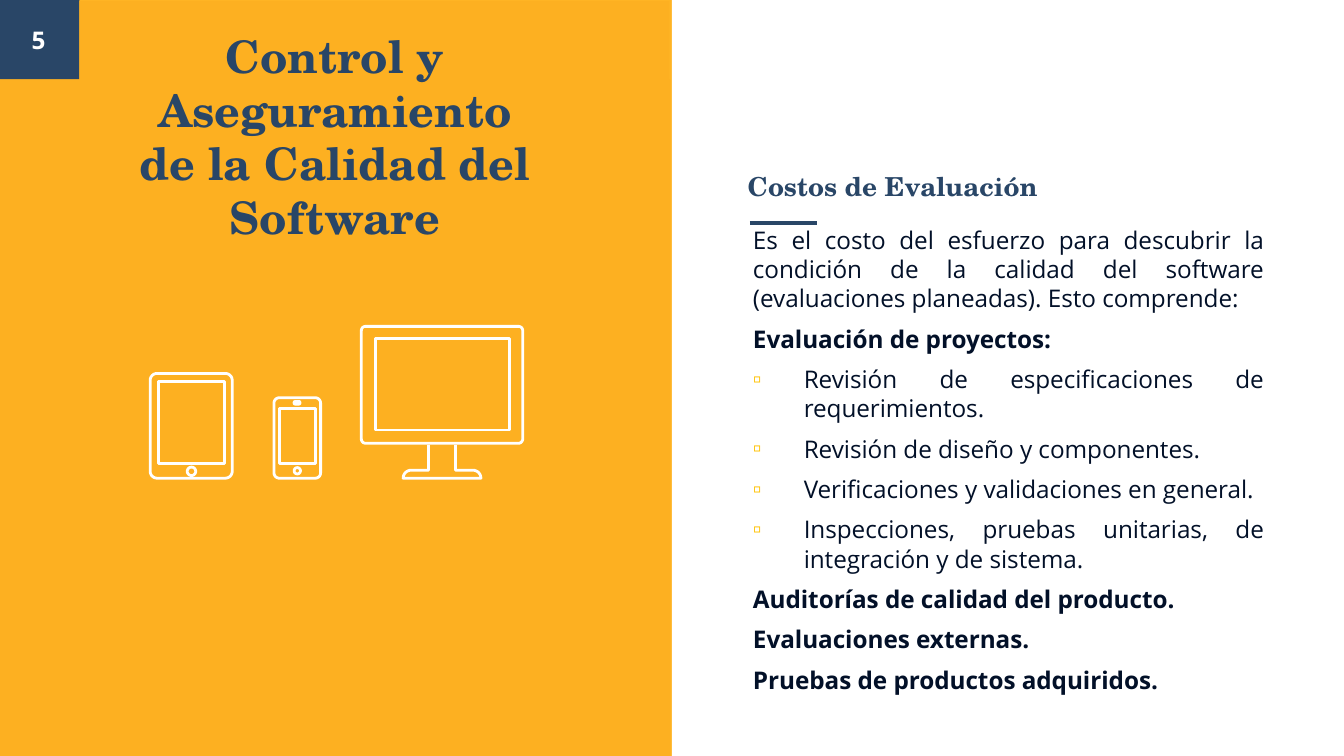
from math import cos, radians, sin

from lxml.etree import SubElement
from pptx import Presentation
from pptx.dml.color import RGBColor
from pptx.enum.shapes import MSO_CONNECTOR, MSO_SHAPE
from pptx.enum.text import MSO_ANCHOR, MSO_AUTO_SIZE, PP_ALIGN
from pptx.oxml.ns import qn
from pptx.util import Cm, Pt

NAVY = RGBColor(0x29, 0x46, 0x67)
INK = RGBColor(0x02, 0x10, 0x28)
AMBER = RGBColor(0xFF, 0xA8, 0x00)
ORANGE = RGBColor(0xFD, 0xB0, 0x21)
BULLET_YELLOW = RGBColor(0xFF, 0xC2, 0x00)
WHITE = RGBColor(0xFF, 0xFF, 0xFF)
HEADING_FONT = "TeX Gyre Schola"
BODY_FONT = "Open Sans"
INSET = Cm(0.25)

PLAIN, BOLD, BULLET = "plain", "bold", "bullet"
COSTS = [
    (PLAIN, "Es el costo del esfuerzo para descubrir la condición de la calidad "
            "del software (evaluaciones planeadas). Esto comprende:"),
    (BOLD, "Evaluación de proyectos:"),
    (BULLET, "Revisión de especificaciones de requerimientos."),
    (BULLET, "Revisión de diseño y componentes."),
    (BULLET, "Verificaciones y validaciones en general."),
    (BULLET, "Inspecciones, pruebas unitarias, de integración y de sistema."),
    (BOLD, "Auditorías de calidad del producto."),
    (BOLD, "Evaluaciones externas."),
    (BOLD, "Pruebas de productos adquiridos."),
]


def place_in_front(slide, shape, left, top, width, height):
    shape.left, shape.top = Cm(left), Cm(top)
    shape.width, shape.height = Cm(width), Cm(height)
    slide.shapes._spTree.append(shape._element)


def prepare_frame(frame, anchor):
    frame.word_wrap = True
    frame.auto_size = MSO_AUTO_SIZE.NONE
    frame.vertical_anchor = anchor
    frame.margin_left = frame.margin_right = INSET
    frame.margin_top = frame.margin_bottom = INSET


def format_runs(paragraph, font_name, size, color, bold):
    for run in paragraph.runs:
        run.font.name = font_name
        run.font.size = Pt(size)
        run.font.bold = bold
        run.font.color.rgb = color


def add_panel(slide, left, top, width, height, color, opacity=100):
    panel = slide.shapes.add_shape(
        MSO_SHAPE.RECTANGLE, Cm(left), Cm(top), Cm(width), Cm(height))
    panel.shadow.inherit = False
    panel.fill.solid()
    panel.fill.fore_color.rgb = color
    panel.line.fill.background()
    if opacity < 100:
        fill_color = panel.fill._xPr.find(qn("a:solidFill"))[0]
        SubElement(fill_color, qn("a:alpha"), val=str(opacity * 1000))


def add_accent_line(slide, left, top, length):
    accent = slide.shapes.add_connector(
        MSO_CONNECTOR.STRAIGHT, Cm(left), Cm(top), Cm(left + length), Cm(top))
    accent.line.color.rgb = NAVY
    accent.line.width = Pt(2.25)
    SubElement(accent._element.spPr, qn("a:effectLst"))


def add_label(slide, text, box, font_name, size, color):
    label = slide.shapes.add_textbox(*(Cm(length) for length in box))
    prepare_frame(label.text_frame, MSO_ANCHOR.MIDDLE)
    label.text_frame.text = text
    paragraph = label.text_frame.paragraphs[0]
    paragraph.alignment = PP_ALIGN.CENTER
    format_runs(paragraph, font_name, size, color, True)


def fill_title(slide, text):
    title = slide.shapes.title
    place_in_front(slide, title, 13.88, 1.93, 10.26, 2.13)
    prepare_frame(title.text_frame, MSO_ANCHOR.BOTTOM)
    title.text_frame.text = text
    paragraph = title.text_frame.paragraphs[0]
    paragraph.alignment = PP_ALIGN.LEFT
    format_runs(paragraph, HEADING_FONT, 14, NAVY, True)


def set_bullet(paragraph, has_bullet):
    properties = paragraph._p.get_or_add_pPr()
    margin, indent = (1.27, -0.96) if has_bullet else (0.31, 0)
    properties.set("marL", str(Cm(margin)))
    properties.set("indent", str(Cm(indent)))
    if has_bullet:
        bullet_color = SubElement(properties, qn("a:buClr"))
        SubElement(bullet_color, qn("a:srgbClr"), val=str(BULLET_YELLOW))
        SubElement(properties, qn("a:buChar"), char="▫")
    else:
        SubElement(properties, qn("a:buNone"))


def fill_body(slide, items):
    body = slide.placeholders[1]
    place_in_front(slide, body, 13.67, 4.01, 10.46, 9.6)
    frame = body.text_frame
    prepare_frame(frame, MSO_ANCHOR.TOP)
    frame.text = "\n".join(text for _, text in items)
    for paragraph, (kind, _) in zip(frame.paragraphs, items):
        paragraph.alignment = PP_ALIGN.JUSTIFY
        paragraph.line_spacing = 1.0
        paragraph.space_before = Pt(6)
        set_bullet(paragraph, kind == BULLET)
        format_runs(paragraph, BODY_FONT, 13, INK, kind == BOLD)


def arc(center_x, center_y, radius, start, end, steps=8):
    """Points along an arc in cm; angles in degrees, clockwise from the right."""
    angles = [radians(start + (end - start) * i / steps) for i in range(steps + 1)]
    return [(center_x + radius * cos(a), center_y + radius * sin(a)) for a in angles]


def circle(center_x, center_y, radius):
    return arc(center_x, center_y, radius, 0, 360, 24)


def rectangle(left, top, width, height, radius=0):
    """Contour of a rectangle, with rounded corners if a radius is given."""
    right, bottom = left + width, top + height
    if not radius:
        return [(left, top), (right, top), (right, bottom), (left, bottom)]
    corners = [(right - radius, bottom - radius), (left + radius, bottom - radius),
               (left + radius, top + radius), (right - radius, top + radius)]
    return [point for i, (x, y) in enumerate(corners)
            for point in arc(x, y, radius, 90 * i, 90 * i + 90)]


def add_outline(group, contours, closed=True):
    contours = [[(Cm(x), Cm(y)) for x, y in contour] for contour in contours]
    builder = group.shapes.build_freeform(*contours[0][0])
    for number, contour in enumerate(contours):
        if number:
            builder.move_to(*contour[0])
        builder.add_line_segments(contour[1:], close=closed)
    outline = builder.convert_to_shape()
    outline.shadow.inherit = False
    outline.fill.background()
    outline.line.color.rgb = WHITE
    outline.line.width = Pt(1.5)


def add_devices(slide):
    devices = slide.shapes.add_group_shape()
    tablet = [rectangle(2.84, 7.06, 1.55, 1.98, 0.13),
              circle(3.62, 8.91, 0.08),
              rectangle(3, 7.21, 1.24, 1.55)]
    phone = [rectangle(5.18, 7.52, 0.88, 1.52, 0.1),
             rectangle(5.56, 7.59, 0.11, 0.05, 0.02),
             circle(5.62, 8.9, 0.06),
             rectangle(5.28, 7.72, 0.69, 1.04)]
    stand = [[(8.1, 8.41), (8.1, 8.89),
              *arc(7.77, 9.04, 0.15, 270, 180),
              *arc(8.94, 9.04, 0.15, 360, 270),
              (8.61, 8.89), (8.61, 8.41)]]
    monitor = [rectangle(6.83, 6.17, 3.05, 2.21, 0.08),
               rectangle(7.09, 6.4, 2.54, 1.73)]
    add_outline(devices, tablet)
    add_outline(devices, phone)
    add_outline(devices, stand, closed=False)
    add_outline(devices, monitor)


def main():
    presentation = Presentation()
    presentation.slide_width, presentation.slide_height = Cm(25.4), Cm(14.29)
    slide = presentation.slides.add_slide(presentation.slide_layouts[1])

    add_panel(slide, 0, 0, 12.7, 14.29, AMBER, opacity=86)
    add_panel(slide, 12.7, 0, 12.7, 14.29, WHITE)
    add_accent_line(slide, 14.17, 4.22, 1.27)
    add_panel(slide, 0, 0, 1.5, 1.5, NAVY)
    add_panel(slide, 0, 1.5, 12.67, 12.79, ORANGE)

    fill_title(slide, "Costos de Evaluación")
    fill_body(slide, COSTS)
    add_devices(slide)
    add_label(slide, "5", (-0.02, 0, 1.5, 1.5), BODY_FONT, 13, WHITE)
    add_panel(slide, 1.5, 0.02, 11.15, 1.78, ORANGE)
    add_label(slide, "Control y Aseguramiento de la Calidad del Software",
              (2.28, 0.02, 8.1, 5.11), HEADING_FONT, 24, NAVY)
    presentation.save("out.pptx")


if __name__ == "__main__":
    main()
